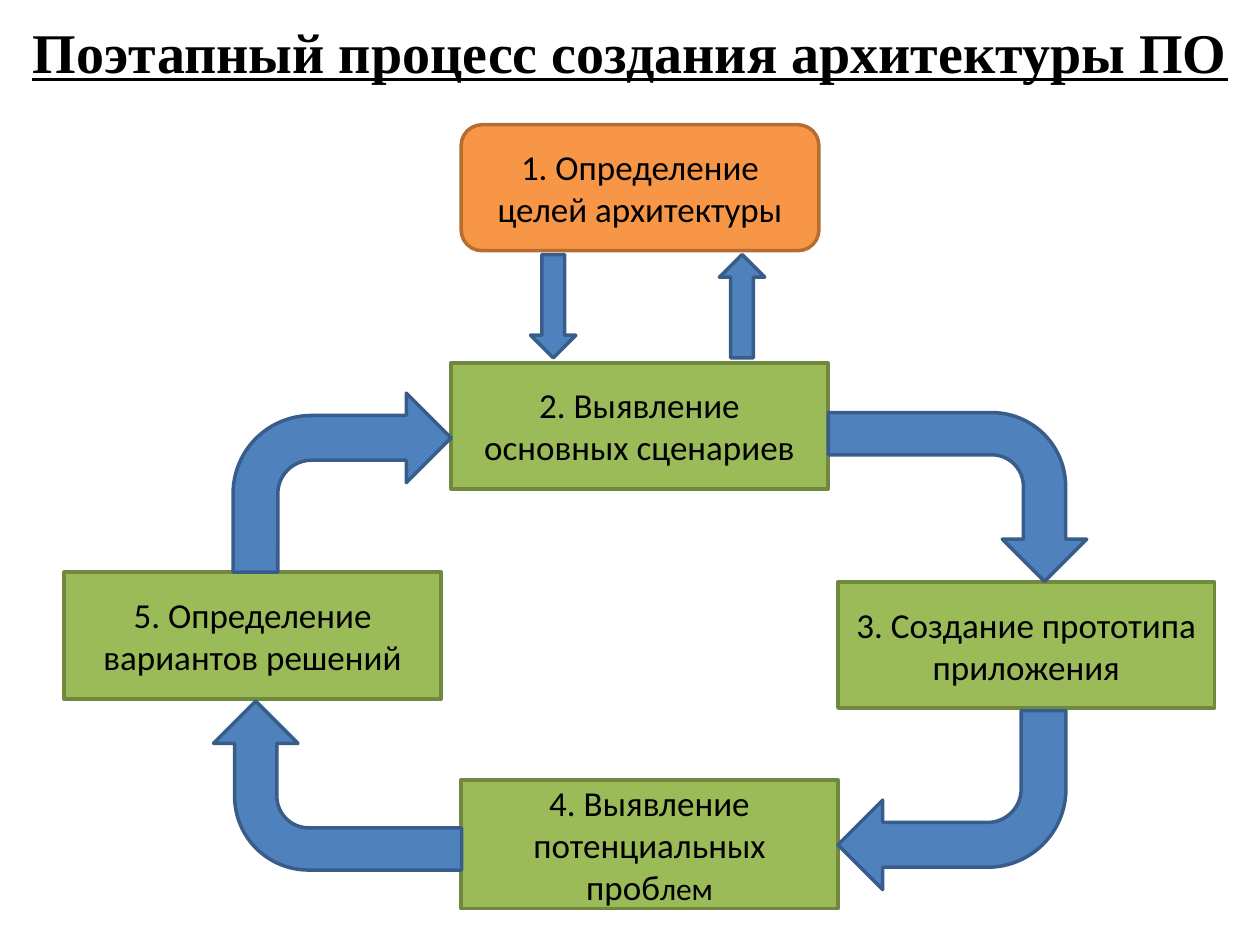
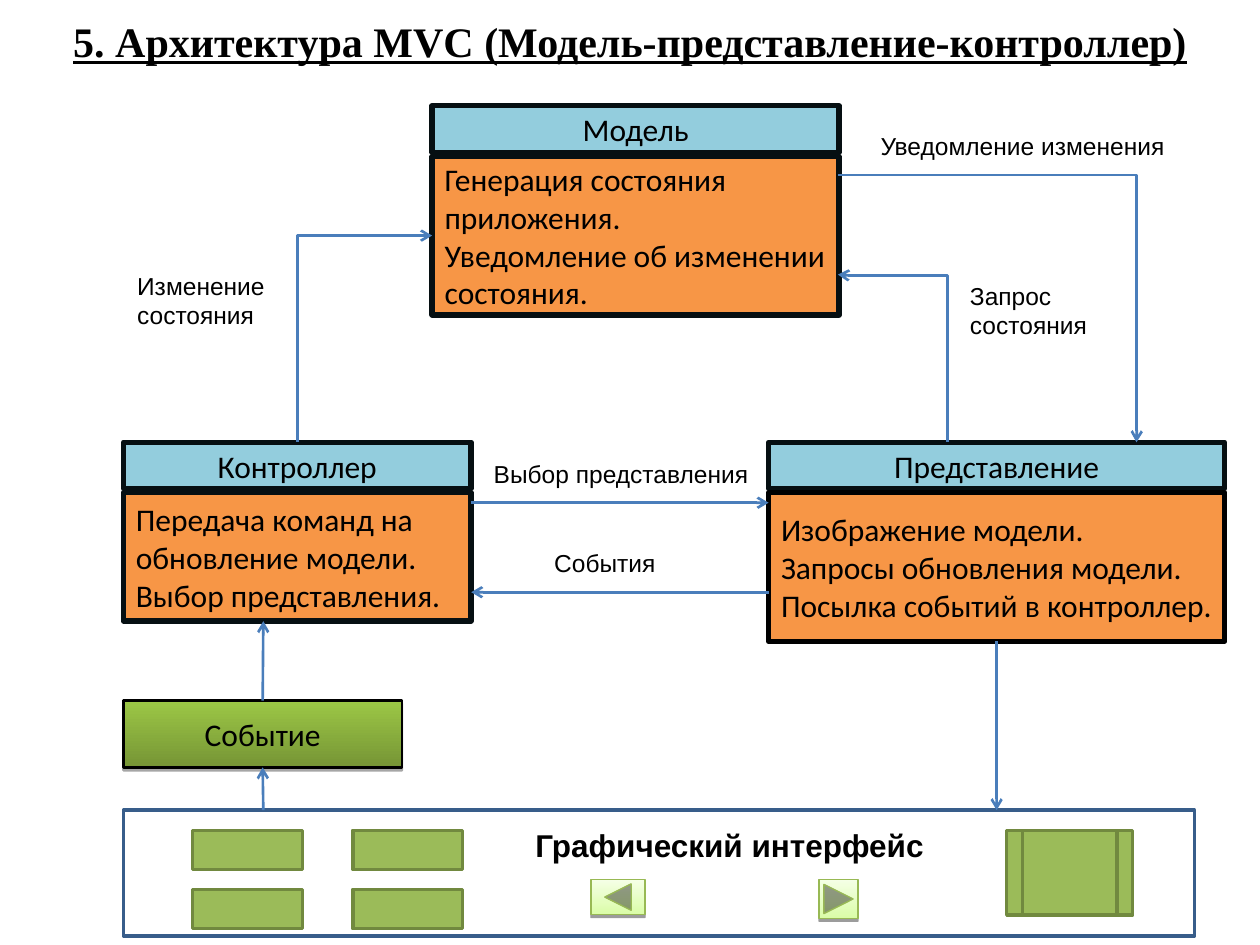
from itertools import product

from lxml.etree import SubElement
from pptx import Presentation
from pptx.dml.color import RGBColor
from pptx.enum.shapes import MSO_CONNECTOR, MSO_SHAPE
from pptx.enum.text import MSO_ANCHOR, MSO_AUTO_SIZE, PP_ALIGN
from pptx.oxml.ns import qn
from pptx.util import Inches, Pt

BLACK, GREEN, ORANGE, SKY, BLUE = "000000", "9BBB59", "F79646", "93CDDD", "4F81BD"
GREEN_EDGE, ORANGE_EDGE, BLUE_EDGE, CARD_EDGE = "71893F", "B66D31", "385D8A", "060F12"
LINK, BUTTON_EDGE = "4A7EBB", "98B954"
TITLE_FONT = {"name": "Times New Roman", "bold": True, "underline": True}
BODY_FONT = {"name": "Calibri"}
LABEL_FONT = {"name": "Arial"}

# Slide 1: text, left, top, width, height
PROCESS_TITLE = "Поэтапный процесс создания архитектуры ПО"
GOAL = ("1. Определение целей архитектуры", 3.66, 0.99, 2.84, 1)
STAGES = [
    ("2. Выявление основных сценариев", 3.58, 2.88, 2.99, 1),
    ("3. Создание прототипа приложения", 6.65, 4.62, 2.99, 1),
    ([("4. Выявление потенциальных проб", 20), ("лем", 18)], 3.66, 6.19, 2.99, 1.02),
    ("5. Определение вариантов решений", 0.51, 4.54, 2.99, 1.01),
]
# Arrows: left, top, width, height, rotation
GOAL_ARROWS = [(3.98, 2.25, 0.82, 0.36, 90), (5.48, 2.25, 0.82, 0.36, 270)]
CYCLE_ARROWS = [
    (1.85, 3.12, 1.73, 1.42, 0),
    (6.93, 2.92, 1.34, 2.05, 90),
    (6.65, 5.64, 1.81, 1.42, 180),
    (2.01, 5.25, 1.34, 1.97, 270),
]

# Slide 2: heading, lines, left, top, width, body height, body edge
MVC_TITLE = "5. Архитектура MVC (Модель-представление-контроллер)"
CARDS = {
    "controller": ("Контроллер",
                   ["Передача команд на обновление модели.", "Выбор представления."],
                   0.98, 3.51, 2.76, 1.02, CARD_EDGE),
    "view": ("Представление",
             ["Изображение модели.", "Запросы обновления модели.",
              "Посылка событий в контроллер."],
             6.1, 3.51, 3.62, 1.18, BLACK),
    "model": ("Модель",
              ["Генерация состояния приложения.", "Уведомление об изменении состояния."],
              3.43, 0.84, 3.23, 1.26, CARD_EDGE),
}
HEADING_HEIGHT, BODY_OFFSET = 0.37, 0.4
EVENT = ("Событие", 0.98, 5.56, 2.21, 0.53)
INTERFACE = (0.98, 6.43, 8.5, 1)
# Lines, left, top, width, height
LABELS = [
    (["Изменение", "состояния"], 0.99, 2.1, 1.26, 0.57),
    (["Уведомление изменения"], 6.89, 0.99, 2.47, 0.34),
    (["Выбор представления"], 3.82, 3.59, 2.23, 0.34),
    (["События"], 4.3, 4.3, 1.06, 0.34),
    (["Запрос", "состояния"], 7.6, 2.18, 1.13, 0.57),
]
INTERFACE_LABEL = (["Графический интерфейс"], 4.15, 6.51, 3.3, 0.4)
NAVIGATION = [
    (MSO_SHAPE.ACTION_BUTTON_BACK_OR_PREVIOUS, 4.69, 6.98, 0.43, 0.28),
    (MSO_SHAPE.ACTION_BUTTON_FORWARD_OR_NEXT, 6.5, 6.98, 0.31, 0.31),
]


def color(value):
    return RGBColor.from_string(value)


def write(box, paragraphs, size, font, align=PP_ALIGN.LEFT):
    """Fill a box; a paragraph is a string or a list of (text, size) spans."""
    frame = box.text_frame
    for index, content in enumerate(paragraphs):
        para = frame.paragraphs[0] if index == 0 else frame.add_paragraph()
        para.alignment = align
        spans = [(content, size)] if isinstance(content, str) else content
        for text, points in spans:
            span = para.add_run()
            span.text = text
            for name, value in {"size": Pt(points), **font}.items():
                setattr(span.font, name, value)
            span.font.color.rgb = color(BLACK)


def add_page(deck, title, size, height):
    page = deck.slides.add_slide(deck.slide_layouts[5])
    box = page.shapes.title
    box.left, box.top, box.width, box.height = map(Inches, (0.12, 0.13, 9.76, height))
    frame_format = {"margin_left": 0, "margin_right": 0, "margin_top": 0,
                    "margin_bottom": 0, "word_wrap": True,
                    "auto_size": MSO_AUTO_SIZE.NONE,
                    "vertical_anchor": MSO_ANCHOR.MIDDLE}
    for name, value in frame_format.items():
        setattr(box.text_frame, name, value)
    write(box, [title], size, TITLE_FONT, PP_ALIGN.CENTER)
    return page


def add_box(page, place, fill, edge, width=2, kind=MSO_SHAPE.RECTANGLE, rotation=0):
    """Add a shape; fill is a hex colour, a (bottom, top) gradient or None."""
    box = page.shapes.add_shape(kind, *map(Inches, place))
    box.shadow.inherit = False
    box.rotation = rotation
    if fill is None:
        box.fill.background()
    elif isinstance(fill, tuple):
        box.fill.gradient()
        box.fill.gradient_angle = 90
        for stop, shade, position in zip(box.fill.gradient_stops, fill, (0, 1)):
            stop.color.rgb = color(shade)
            stop.position = position
    else:
        box.fill.solid()
        box.fill.fore_color.rgb = color(fill)
    box.line.color.rgb = color(edge)
    box.line.width = Pt(width)
    box.text_frame.vertical_anchor = MSO_ANCHOR.MIDDLE
    return box


def drop_shadow(box, opacity, distance):
    effects = box._element.spPr.find(qn("a:effectLst"))
    shadow = SubElement(effects, qn("a:outerShdw"), blurRad="0",
                        dist=str(Pt(distance)), dir="5400000", rotWithShape="0")
    shade = SubElement(shadow, qn("a:srgbClr"), val=BLACK)
    SubElement(shade, qn("a:alpha"), val=str(opacity * 1000))


def add_label(page, paragraphs, *place, size=14, font=LABEL_FONT):
    box = page.shapes.add_textbox(*map(Inches, place))
    box.text_frame.word_wrap = False
    box.text_frame.auto_size = MSO_AUTO_SIZE.SHAPE_TO_FIT_TEXT
    write(box, paragraphs, size, font)


def add_link(page, start, end, kind=MSO_CONNECTOR.STRAIGHT, arrow="tailEnd"):
    link = page.shapes.add_connector(kind, *map(Inches, (*start, *end)))
    link.line.color.rgb = color(LINK)
    link.line.width = Pt(1.5)
    SubElement(link.line._get_or_add_ln(), qn(f"a:{arrow}"), type="arrow")
    SubElement(link._element.spPr, qn("a:effectLst"))
    return link


def add_elbow(page, start, end, bend, upright=False):
    """Add an elbow bending at a share of its run; upright ones leave upwards."""
    (x1, y1), (x2, y2) = start, end
    if upright:
        middle_x, middle_y = (x1 + x2) / 2, (y1 + y2) / 2
        run, rise = (y1 - y2) / 2, (x2 - x1) / 2
        start = middle_x - run, middle_y - rise
        end = middle_x + run, middle_y + rise
    link = add_link(page, start, end, MSO_CONNECTOR.ELBOW)
    properties = link._element.spPr
    if upright:
        properties.find(qn("a:xfrm")).set("rot", str(270 * 60000))
    geometry = properties.find(qn("a:prstGeom"))
    values = geometry.find(qn("a:avLst"))
    if values is None:
        values = SubElement(geometry, qn("a:avLst"))
    SubElement(values, qn("a:gd"), name="adj1", fmla=f"val {round(bend * 100000)}")


def build_process(deck):
    page = add_page(deck, PROCESS_TITLE, 32, 0.55)
    text, *place = GOAL
    goal = add_box(page, place, ORANGE, ORANGE_EDGE, kind=MSO_SHAPE.ROUNDED_RECTANGLE)
    write(goal, [text], 20, BODY_FONT, PP_ALIGN.CENTER)
    for text, *place in STAGES:
        stage = add_box(page, place, GREEN, GREEN_EDGE)
        write(stage, [text], 20, BODY_FONT, PP_ALIGN.CENTER)
    for kind, arrows in ((MSO_SHAPE.RIGHT_ARROW, GOAL_ARROWS),
                         (MSO_SHAPE.BENT_ARROW, CYCLE_ARROWS)):
        for *place, rotation in arrows:
            add_box(page, place, BLUE, BLUE_EDGE, kind=kind, rotation=rotation)


def add_card(page, heading, lines, left, top, width, height, edge):
    head = add_box(page, (left, top, width, HEADING_HEIGHT), SKY, CARD_EDGE, 3)
    write(head, [heading], 18, BODY_FONT, PP_ALIGN.CENTER)
    body = add_box(page, (left, top + BODY_OFFSET, width, height), ORANGE, edge, 3)
    write(body, lines, 18, BODY_FONT)
    return head, body


def build_mvc(deck):
    page = add_page(deck, MVC_TITLE, 24, 0.39)
    cards = {name: add_card(page, *card) for name, card in CARDS.items()}

    text, *place = EVENT
    event = add_box(page, place, ("769535", "9CC746"), BLACK, 1.5)
    drop_shadow(event, 35, 1.8)
    write(event, [text], 18, BODY_FONT, PP_ALIGN.CENTER)

    add_box(page, INTERFACE, None, BLUE_EDGE)
    for row, column in product(range(2), repeat=2):
        place = (1.53 + 1.27 * column, 6.59 + 0.47 * row, 0.87, 0.31)
        add_box(page, place, GREEN, GREEN_EDGE)
    add_box(page, (7.99, 6.59, 1, 0.67), GREEN, GREEN_EDGE,
            kind=MSO_SHAPE.FLOWCHART_PREDEFINED_PROCESS)
    for kind, *place in NAVIGATION:
        button = add_box(page, place, ("DAFDA7", "F5FFE6"), BUTTON_EDGE, 0.75, kind)
        drop_shadow(button, 38, 1.6)

    controller_head = cards["controller"][0]
    model_body, view_body = cards["model"][1], cards["view"][1]
    change = add_link(page, (3.43, 1.86), (2.36, 3.51), MSO_CONNECTOR.ELBOW, "headEnd")
    change._element.spPr.find(qn("a:prstGeom")).set("prst", "bentConnector2")
    change.begin_connect(model_body, 1)
    change.end_connect(controller_head, 0)
    add_elbow(page, (6.65, 1.39), (9.02, 3.51), 1.001)
    add_elbow(page, (7.52, 3.51), (6.65, 2.18), 0.995, upright=True)

    add_link(page, (7.91, 5.09), (7.91, 6.43)).begin_connect(view_body, 2)
    add_link(page, (2.09, 5.56), (2.09, 4.93)).begin_connect(event, 0)
    add_link(page, (2.09, 6.43), (2.09, 6.09)).end_connect(event, 2)
    add_link(page, (3.74, 3.99), (6.1, 3.99))
    add_link(page, (6.1, 4.7), (3.74, 4.7))

    for label in LABELS:
        add_label(page, *label)
    add_label(page, *INTERFACE_LABEL, size=18, font={**LABEL_FONT, "bold": True})


def main():
    deck = Presentation()
    deck.slide_width, deck.slide_height = Inches(10), Inches(7.5)
    build_process(deck)
    build_mvc(deck)
    deck.save("out.pptx")


if __name__ == "__main__":
    main()
